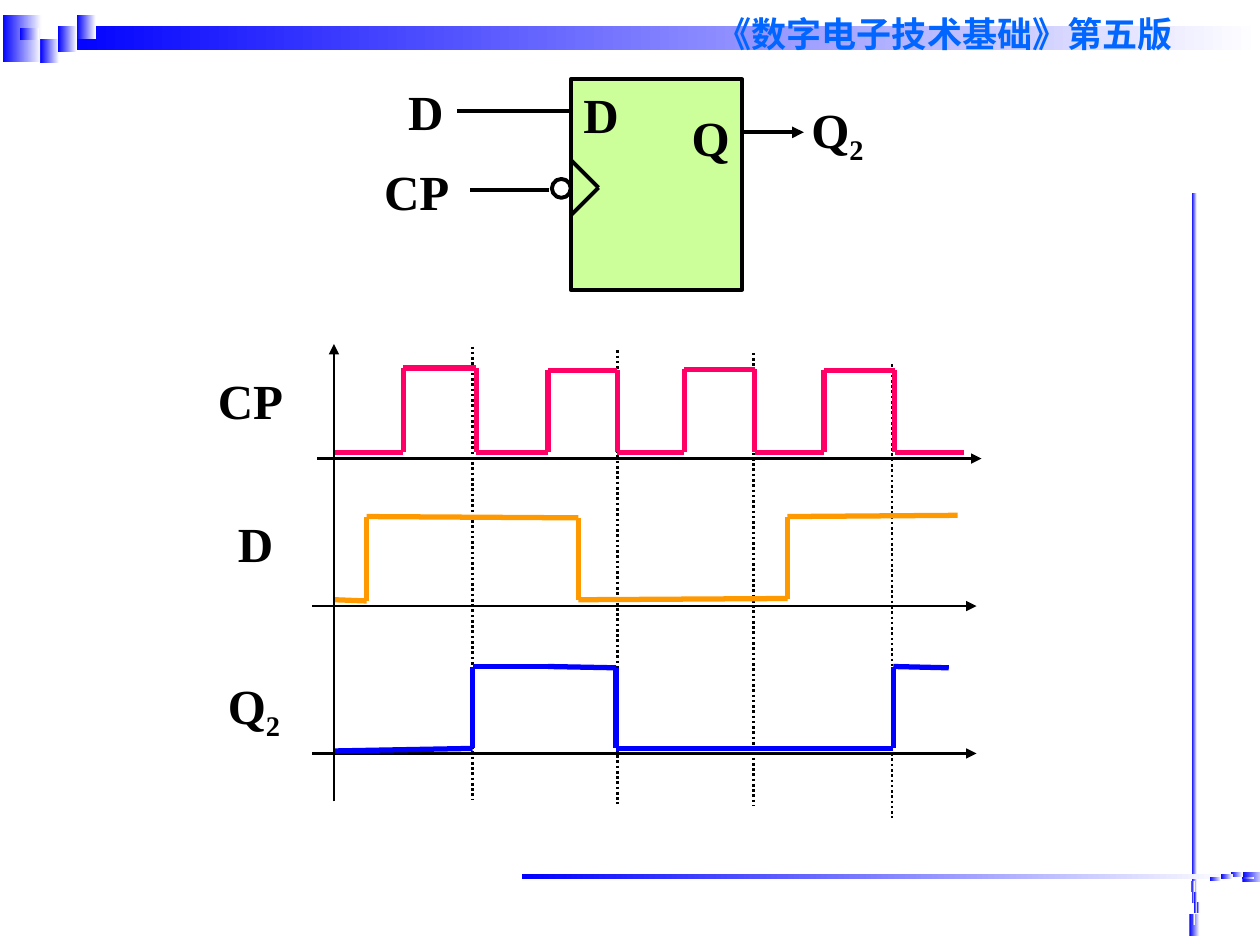
from itertools import pairwise

from lxml.etree import SubElement
from pptx import Presentation
from pptx.dml.color import RGBColor
from pptx.enum.dml import MSO_LINE
from pptx.enum.shapes import MSO_CONNECTOR, MSO_SHAPE
from pptx.enum.text import MSO_ANCHOR, PP_ALIGN
from pptx.oxml.ns import qn
from pptx.util import Inches, Pt

COLORS = {
    "black": "000000", "white": "FFFFFF", "blue": "0000FF", "header": "0066FF",
    "chip": "CCFF99", "clock": "FF0066", "data": "FF9900",
}
BANNER = [
    (0.02, 0.12, 0.31, 0.37), (0.47, 0.21, 9.53, 0.19), (0.46, 0.21, 0.15, 0.1),
    (0.61, 0.12, 0.15, 0.1), (0.61, 0.21, 0.15, 0.1), (0.32, 0.31, 0.15, 0.1),
    (0.16, 0.22, 0.15, 0.1), (0.46, 0.31, 0.15, 0.1), (0.32, 0.41, 0.15, 0.09),
]
CORNER = [(9.86, 6.92, 0.18, 0.08), (4.14, 6.94, 5.64, 0.04)] + [
    (x, y, 0.09, 0.02) for x, y in [
        (9.69, 6.96), (9.6, 6.97), (9.6, 6.96), (9.77, 6.94),
        (9.86, 6.96), (9.69, 6.94), (9.77, 6.92)]
]
LABELS = [
    ("Q", "2", 6.34, 0.74, 0.79), ("D", "", 3.14, 0.6, 0.57),
    ("CP", "", 2.95, 1.23, 0.73), ("CP", "", 1.63, 2.89, 0.75),
    ("D", "", 1.79, 4.03, 0.67), ("Q", "2", 1.71, 5.31, 0.75),
]
WIRES = [
    [(3.63, 0.88), (4.53, 0.88)], [(4.53, 1.27), (4.75, 1.49), (4.53, 1.71)],
    [(4.36, 1.51), (3.73, 1.51)],
]
GUIDES = [(3.75, 2.75), (4.9, 2.78), (5.98, 2.8), (7.08, 2.89)]
AXES = [
    [(2.52, 3.64), (7.79, 3.64)], [(2.48, 4.81), (7.75, 4.81)],
    [(2.48, 5.98), (7.75, 5.98)], [(2.65, 6.36), (2.65, 2.73)],
]
PULSES = [(3.2, 3.78, 2.92), (4.35, 4.9, 2.94), (5.43, 5.99, 2.93), (6.54, 7.1, 2.94)]
DATA_WAVE = [(2.66, 4.76), (2.91, 4.77), (2.91, 4.1), (4.59, 4.11), (4.59, 4.76),
             (6.25, 4.75), (6.25, 4.1), (7.6, 4.09)]
OUTPUT_WAVE = [(2.66, 5.96), (3.75, 5.94), (3.75, 5.29), (4.35, 5.29), (4.89, 5.3),
               (4.89, 5.94), (7.09, 5.94), (7.09, 5.29), (7.53, 5.3)]


def rgb(name):
    """Look up a named colour."""
    return RGBColor.from_string(COLORS[name])


def add_block(s, kind, box):
    """Add a preset shape without line or shadow."""
    sp = s.shapes.add_shape(kind, *map(Inches, box))
    sp.shadow.inherit = False
    sp.line.fill.background()
    return sp


def add_fade(s, box):
    """Add a rectangle fading from blue to white."""
    fill = add_block(s, MSO_SHAPE.RECTANGLE, box).fill
    fill.gradient()
    fill.gradient_angle = 0
    for stop, name in zip(fill.gradient_stops, ("blue", "white")):
        stop.color.rgb = rgb(name)


def add_outlined(s, kind, box, color):
    """Add a filled shape with a black outline."""
    sp = add_block(s, kind, box)
    sp.fill.solid()
    sp.fill.fore_color.rgb = rgb(color)
    sp.line.color.rgb = rgb("black")
    sp.line.width = Pt(2.25)


def add_text(s, text, box, subscript="", size=28, font="Times New Roman",
             color="black", centered=False):
    """Add a bold one-line text box with an optional subscript."""
    tf = s.shapes.add_textbox(*map(Inches, box)).text_frame
    tf.word_wrap = not centered
    p = tf.paragraphs[0]
    if centered:
        tf.vertical_anchor = MSO_ANCHOR.MIDDLE
        p.alignment = PP_ALIGN.CENTER
    p.font.size, p.font.name, p.font.bold = Pt(size), font, True
    p.font.color.rgb = rgb(color)
    p.add_run().text = text
    if subscript:
        r = p.add_run()
        r.text = subscript
        r.font._element.set("baseline", "-25000")


def add_path(s, points, color="black", width=2.25, dash=None, arrow=False):
    """Join successive points with straight connectors."""
    for start, end in pairwise(points):
        line = s.shapes.add_connector(MSO_CONNECTOR.STRAIGHT, *map(Inches, start + end))
        line.line.color.rgb = rgb(color)
        line.line.width = Pt(width)
        if dash:
            line.line.dash_style = dash
        if arrow:
            SubElement(line.line._get_or_add_ln(), qn("a:tailEnd"), type="triangle")
        SubElement(line._element.spPr, qn("a:effectLst"))


def add_frame(s):
    """Draw the banner, the corner bars and the book title."""
    upright = [(16.44 - y - h, x - 2.61, h, w) for x, y, w, h in CORNER]
    for box in BANNER + upright + CORNER:
        add_fade(s, box)
    add_text(s, "《数字电子技术基础》第五版", (5.59, 0.05, 4.06, 0.44),
             size=20, font="Arial", color="header")


def add_flip_flop(s):
    """Draw the flip-flop symbol with its wires."""
    add_outlined(s, MSO_SHAPE.RECTANGLE, (4.53, 0.63, 1.36, 1.67), "chip")
    for wire in WIRES:
        add_path(s, wire)
    add_path(s, [(5.89, 1.05), (6.38, 1.05)], arrow=True)
    add_text(s, "D", (4.53, 0.62, 0.48, 0.57), centered=True)
    add_text(s, "Q", (5.39, 0.8, 0.5, 0.57), centered=True)
    add_outlined(s, MSO_SHAPE.OVAL, (4.38, 1.42, 0.15, 0.15), "white")


def add_timing(s):
    """Draw the guides, axes and the three waveforms."""
    for x, y in GUIDES:
        add_path(s, [(x, y), (x, y + 3.6)], width=1.5, dash=MSO_LINE.ROUND_DOT)
    for axis in AXES:
        add_path(s, axis, width=1.5, arrow=True)
    low = 3.59
    clock = [(2.66, low)]
    for rise, fall, high in PULSES:
        clock += [(rise, low), (rise, high), (fall, high), (fall, low)]
    clock.append((7.65, low))
    for wave, color in ((clock, "clock"), (DATA_WAVE, "data"), (OUTPUT_WAVE, "blue")):
        add_path(s, wave, color, 3)


def main():
    """Build and save the slide."""
    prs = Presentation()
    prs.slide_width, prs.slide_height = Inches(10), Inches(7.5)
    s = prs.slides.add_slide(prs.slide_layouts[6])
    add_frame(s)
    add_flip_flop(s)
    for text, subscript, x, y, w in LABELS:
        add_text(s, text, (x, y, w, 0.63 if subscript else 0.57), subscript)
    add_timing(s)
    prs.save("out.pptx")


if __name__ == "__main__":
    main()
